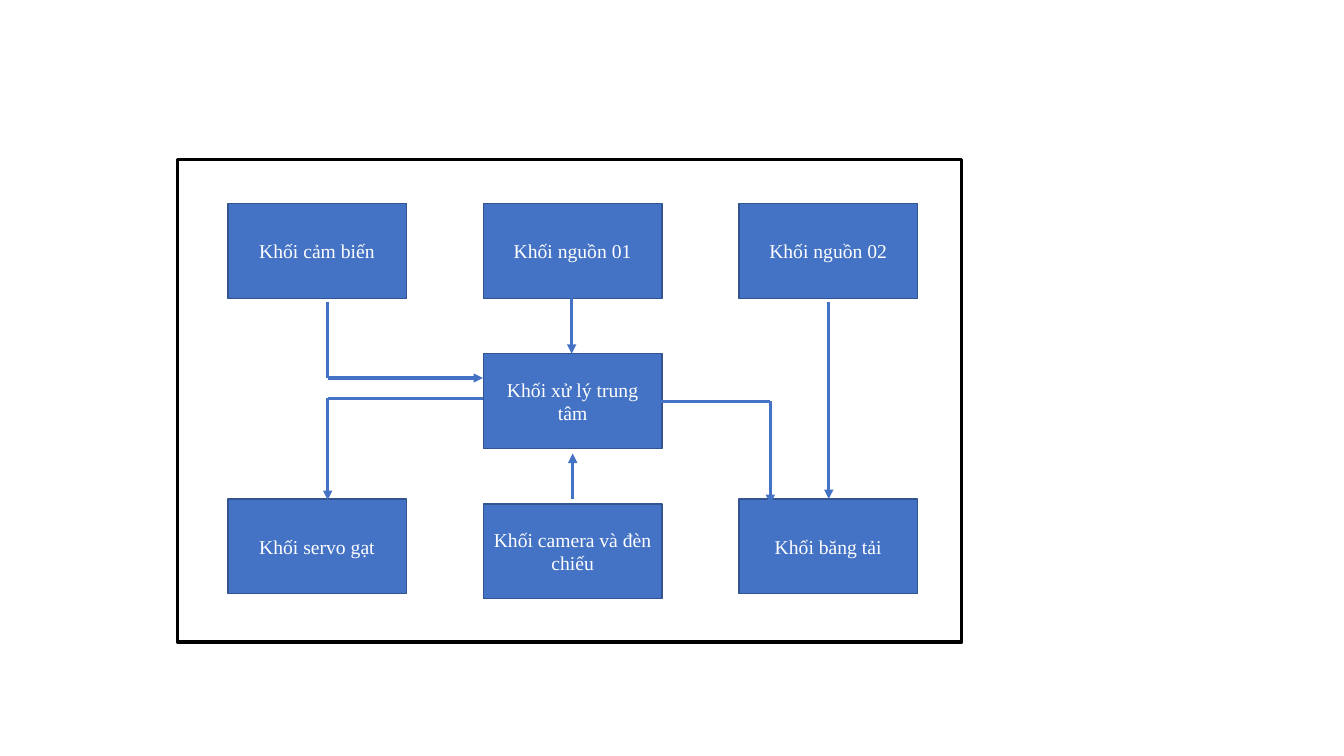
import pptx
import pptx.util
import pptx.dml.color
import pptx.enum.shapes
import pptx.enum.text
import pptx.oxml.ns
import lxml.etree

COLORS = {"block": "4472C4", "border": "325491", "text": "FFFFFF", "frame": "000000"}
FONT = "Times New Roman"
COLUMN_LEFT, COLUMN_PITCH = 2.26, 2.535
ROW_TOPS = (2.02, 3.51, 4.95)
BLOCK_WIDTH, BLOCK_HEIGHT = 1.77, 0.94
FRAME = (1.76, 1.58, 7.78, 4.79)

# label, column, row, extra drop below the row
BLOCKS = [
    ("Khối băng tải", 2, 2, 0),
    ("Khối xử lý trung tâm", 1, 1, 0),
    ("Khối cảm biến", 0, 0, 0),
    ("Khối nguồn 01", 1, 0, 0),
    ("Khối nguồn 02", 2, 0, 0),
    ("Khối servo gạt", 0, 2, 0),
    ("Khối camera và đèn chiếu", 1, 2, 0.05),
]

# successive points; each route ends in an arrowhead
ROUTES = [
    [(5.67, 2.96), (5.67, 3.51)],
    [(8.22, 3), (8.22, 4.95)],
    [(6.56, 3.98), (7.64, 3.98), (7.64, 5)],
    [(4.79, 3.95), (3.25, 3.95), (3.25, 4.96)],
    [(5.68, 4.95), (5.68, 4.5)],
    [(3.25, 3), (3.25, 3.75), (4.79, 3.75)],
]


def inches(values):
    """Convert a sequence of inches to lengths."""
    return [pptx.util.Inches(value) for value in values]


def color(key):
    """Look up a palette colour."""
    return pptx.dml.color.RGBColor.from_string(COLORS[key])


def style_line(line, key, width):
    """Set the colour and width of a line."""
    line.color.rgb = color(key)
    line.width = pptx.util.Pt(width)


def add_rectangle(slide, bounds, border, width):
    """Add a shadowless rectangle with a border."""
    rectangle = slide.shapes.add_shape(
        pptx.enum.shapes.MSO_SHAPE.RECTANGLE, *inches(bounds))
    rectangle.shadow.inherit = False
    style_line(rectangle.line, border, width)
    return rectangle


def add_block(slide, label, column, row, drop):
    """Add a labelled block at a grid position."""
    left = COLUMN_LEFT + column * COLUMN_PITCH
    block = add_rectangle(
        slide, (left, ROW_TOPS[row] + drop, BLOCK_WIDTH, BLOCK_HEIGHT), "border", 1)
    block.fill.solid()
    block.fill.fore_color.rgb = color("block")
    block.text_frame.word_wrap = True
    block.text_frame.vertical_anchor = pptx.enum.text.MSO_ANCHOR.MIDDLE
    caption = block.text_frame.paragraphs[0]
    caption.text = label
    caption.alignment = pptx.enum.text.PP_ALIGN.CENTER
    caption.font.name = FONT
    caption.font.size = pptx.util.Pt(14)
    caption.font.color.rgb = color("text")


def add_segment(slide, start, end, arrow):
    """Add a straight connector, optionally with an arrowhead at its end."""
    segment = slide.shapes.add_connector(
        pptx.enum.shapes.MSO_CONNECTOR.STRAIGHT, *inches(start + end))
    style_line(segment.line, "block", 2.25)
    properties = segment.element.spPr
    if arrow:
        outline = properties.find(pptx.oxml.ns.qn("a:ln"))
        lxml.etree.SubElement(outline, pptx.oxml.ns.qn("a:tailEnd"), type="triangle")
    lxml.etree.SubElement(properties, pptx.oxml.ns.qn("a:effectLst"))


def add_route(slide, points):
    """Join points by segments, with an arrowhead on the last one."""
    for start, end in zip(points, points[1:]):
        add_segment(slide, start, end, arrow=end == points[-1])


def main():
    """Build the block diagram slide."""
    deck = pptx.Presentation()
    deck.slide_width, deck.slide_height = inches((13.33, 7.5))
    slide = deck.slides.add_slide(deck.slide_layouts[6])
    for block in BLOCKS:
        add_block(slide, *block)
    for points in ROUTES:
        add_route(slide, points)
    add_rectangle(slide, FRAME, "frame", 2.25).fill.background()
    deck.save("out.pptx")


main()
